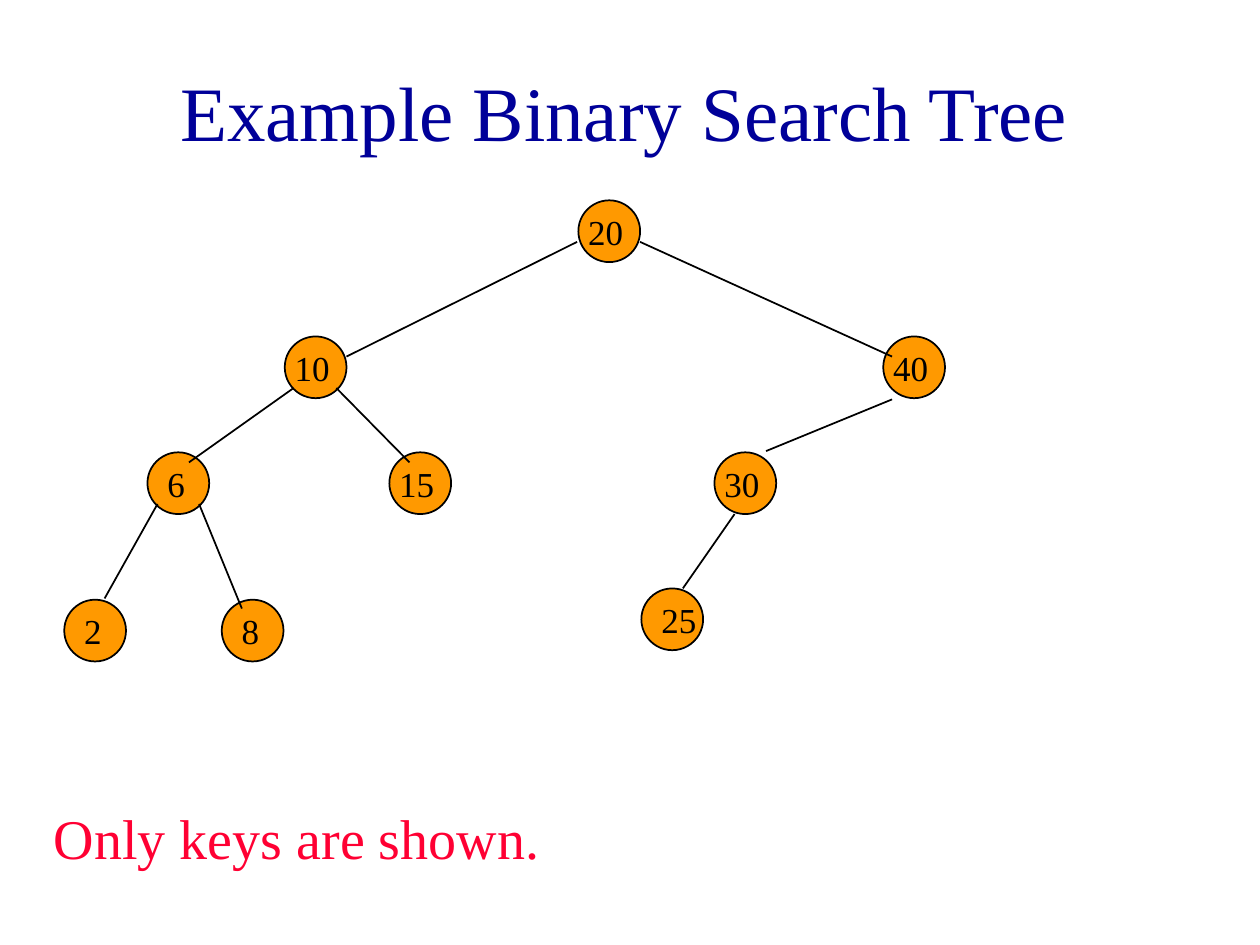
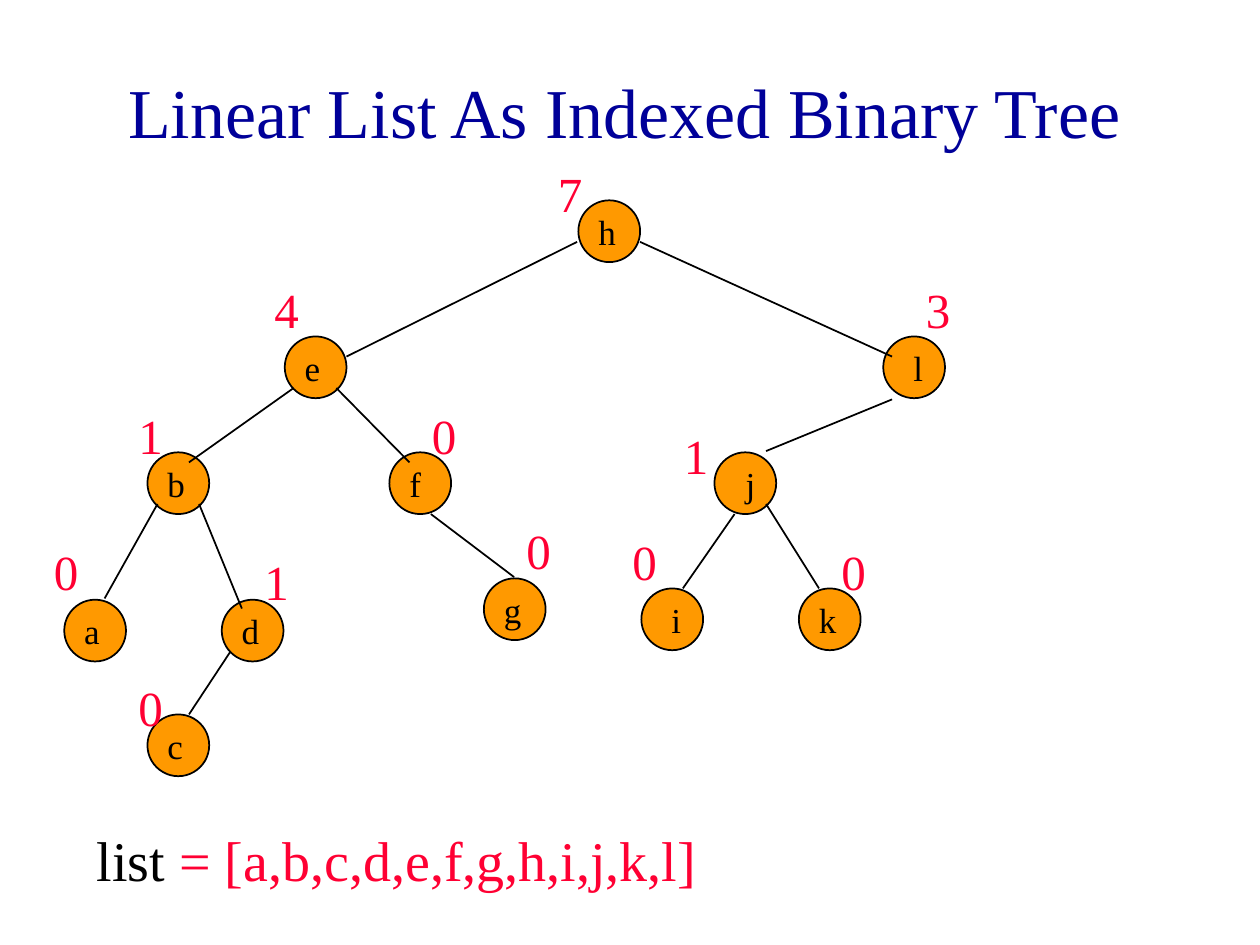
from lxml.etree import SubElement
from pptx import Presentation
from pptx.dml.color import RGBColor
from pptx.enum.shapes import MSO_CONNECTOR as Line, MSO_SHAPE as Form
from pptx.enum.text import MSO_ANCHOR as Anchor, MSO_AUTO_SIZE as Fit, PP_ALIGN as Align
from pptx.oxml.ns import qn
from pptx.util import Inches, Pt

FONT = "Times New Roman"
BLUE, RED, BLACK, ORANGE = "000099", "FF0033", "000000", "FF9900"
SIZE = 0.49

spots = {
    "h": (4.59, 1.59), "e": (2.26, 2.67), "l": (7.01, 2.67), "b": (1.17, 3.59),
    "f": (3.09, 3.59), "j": (5.67, 3.59), "a": (0.51, 4.76), "d": (1.76, 4.76),
    "i": (5.09, 4.67), "k": (6.34, 4.67), "c": (1.17, 5.67), "g": (3.84, 4.59),
}
edges = {
    "e": (4.58, 1.92, 2.75, 2.83), "l": (5.08, 1.92, 7.08, 2.83),
    "b": (2.33, 3.08, 1.5, 3.67), "f": (2.67, 3.08, 3.25, 3.67),
    "j": (7.08, 3.17, 6.08, 3.58), "a": (1.25, 4, 0.83, 4.75),
    "d": (1.58, 4, 1.92, 4.83), "i": (5.83, 4.08, 5.42, 4.67),
    "k": (6.08, 4, 6.5, 4.67), "c": (1.83, 5.17, 1.5, 5.67),
    "g": (3.42, 4.08, 4.08, 4.58),
}
ranks = {
    "c": ("0", 1, 5.33), "a": ("0", 0.33, 4.25), "d": ("1", 2, 4.33),
    "b": ("1", 1, 3.17), "e": ("4", 2.08, 2.17), "g": ("0", 4.08, 4.08),
    "f": ("0", 3.33, 3.17), "h": ("7", 4.33, 1.25), "i": ("0", 4.92, 4.17),
    "k": ("0", 6.58, 4.25), "j": ("1", 5.33, 3.33), "l": ("3", 7.25, 2.17),
}
keys = {"h": "20", "e": "10", "l": "40", "b": "6", "f": "15",
        "j": "30", "a": "2", "d": "8", "i": "25"}
names = {spot: spot for spot in spots}
shifts = {"25": 0.06, "i": 0.14, "j": 0.15, "l": 0.14}
widths = {"f": 0.29, "i": 0.28, "j": 0.28, "l": 0.28}

slides = [
    ("Example Binary Search Tree", 44, keys, {},
     [("Only keys are shown.", RED)], (0.33, 6.33, 9, 0.63)),
    ("Linear List As Indexed Binary Tree", 40, names, ranks,
     [("list", BLACK), (" = [a,b,c,d,e,f,g,h,i,j,k,l]", RED)], (0.67, 6.5, 8.75, 0.63)),
]


def tint(code):
    return RGBColor.from_string(code)


def write(runs, box, size, wrap=True, gap=None, align=Align.LEFT, anchor=Anchor.TOP,
          fit=Fit.SHAPE_TO_FIT_TEXT):
    frame = box.text_frame
    frame.word_wrap, frame.auto_size, frame.vertical_anchor = wrap, fit, anchor
    para = frame.paragraphs[0]
    para.alignment = align
    if gap is not None:
        para.space_before = Pt(gap)
    for text, color in runs:
        run = para.add_run()
        run.text = text
        run.font.name, run.font.size = FONT, Pt(size)
        run.font.color.rgb = tint(color)


deck = Presentation()
deck.slide_width, deck.slide_height = Inches(10), Inches(7.5)

for head, size, labels, tags, note, place in slides:
    slide = deck.slides.add_slide(deck.slide_layouts[5])
    shapes = slide.shapes
    title = shapes.title
    title.left, title.top = Inches(0.08), Inches(0.25)
    title.width, title.height = Inches(9.75), Inches(1.25)
    write([(head, BLUE)], title, size, align=Align.CENTER, anchor=Anchor.MIDDLE, fit=Fit.NONE)

    for spot in labels:
        left, top = spots[spot]
        node = shapes.add_shape(Form.OVAL, Inches(left), Inches(top), Inches(SIZE), Inches(SIZE))
        node.shadow.inherit = False
        node.fill.solid()
        node.fill.fore_color.rgb = tint(ORANGE)
        node.line.color.rgb = tint(BLACK)
        node.line.width = Pt(1)

    for spot, ends in edges.items():
        if spot in labels:
            edge = shapes.add_connector(Line.STRAIGHT, *map(Inches, ends))
            edge.line.color.rgb = tint(BLACK)
            edge.line.width = Pt(1)
            SubElement(edge._element.spPr, qn("a:effectLst"))

    for spot, label in labels.items():
        left, top = spots[spot]
        shift = shifts.get(label, 0.06 if len(label) == 1 else -0.02)
        width = widths.get(label, 0.2 + 0.14 * len(label))
        box = shapes.add_textbox(Inches(left + shift), Inches(top + 0.03),
                                 Inches(width), Inches(0.43))
        write([(label, BLACK)], box, 20, wrap=False)

    for rank, left, top in tags.values():
        box = shapes.add_textbox(Inches(left), Inches(top), Inches(0.25), Inches(0.57))
        write([(rank, RED)], box, 28, gap=17.5)

    write(note, shapes.add_textbox(*map(Inches, place)), 32, gap=20)

deck.save("out.pptx")
